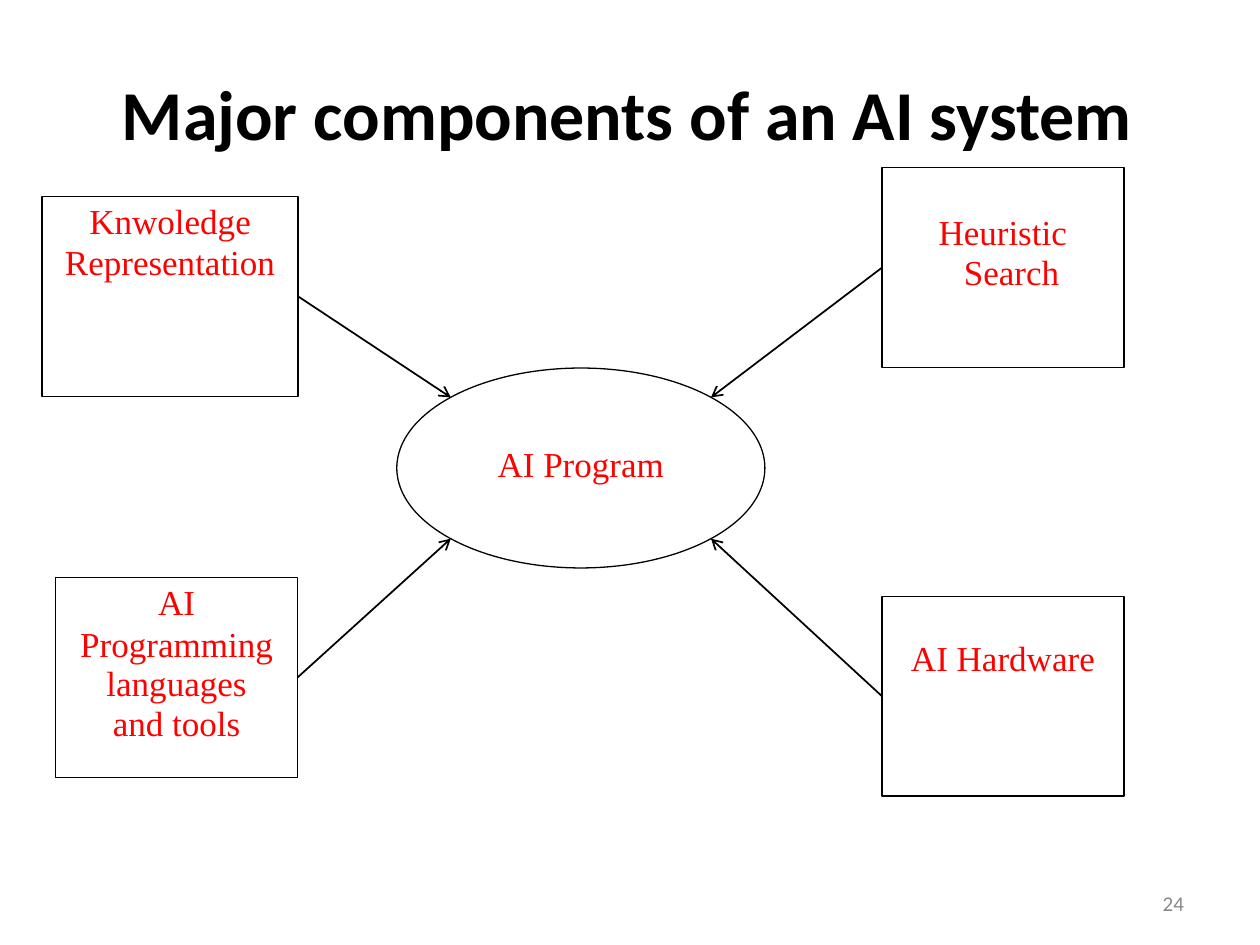
from dataclasses import dataclass
from math import sqrt

from lxml.etree import SubElement
from pptx import Presentation
from pptx.dml.color import RGBColor
from pptx.enum.shapes import MSO_CONNECTOR, MSO_SHAPE
from pptx.enum.text import MSO_ANCHOR, PP_ALIGN
from pptx.oxml.ns import qn
from pptx.util import Cm, Pt


@dataclass(frozen=True)
class Theme:
    ink: RGBColor = RGBColor(0, 0, 0)
    label: RGBColor = RGBColor(255, 0, 0)
    muted: RGBColor = RGBColor(0x88, 0x88, 0x88)
    heading_font: str = "Calibri"
    label_font: str = "Times New Roman"
    title_size: Pt = Pt(40)
    label_size: Pt = Pt(20)
    number_size: Pt = Pt(12)
    outline: Pt = Pt(0.75)
    arrow: Pt = Pt(1)


THEME = Theme()
BOX_HEIGHT = 4.03
ELLIPSE = (8, 7.42, 7.42, BOX_HEIGHT)


def set_insets(frame, left=0, top=0, right=0, bottom=0):
    frame.margin_left, frame.margin_top = Cm(left), Cm(top)
    frame.margin_right, frame.margin_bottom = Cm(right), Cm(bottom)


def style_paragraph(paragraph, font, size, color, bold=False):
    paragraph.font.name = font
    paragraph.font.size = size
    paragraph.font.bold = bold
    paragraph.font.color.rgb = color


def add_text(slide, bounds, text, size, color, bold=False):
    box = slide.shapes.add_textbox(*map(Cm, bounds))
    frame = box.text_frame
    frame.word_wrap = True
    set_insets(frame, top=0.05)
    paragraph = frame.paragraphs[0]
    paragraph.text = text
    style_paragraph(paragraph, THEME.heading_font, size, color, bold)


def add_node(slide, preset, bounds, lines, spacing=None, anchor=MSO_ANCHOR.TOP, **insets):
    shape = slide.shapes.add_shape(preset, *map(Cm, bounds))
    shape.shadow.inherit = False
    shape.fill.background()
    shape.line.color.rgb = THEME.ink
    shape.line.width = THEME.outline
    frame = shape.text_frame
    frame.word_wrap = True
    frame.vertical_anchor = anchor
    set_insets(frame, **insets)
    for index, line in enumerate(lines):
        paragraph = frame.add_paragraph() if index else frame.paragraphs[0]
        paragraph.text = line
        paragraph.alignment = PP_ALIGN.CENTER
        paragraph.line_spacing = spacing
        style_paragraph(paragraph, THEME.label_font, THEME.label_size, THEME.label)
    return shape


def hang_first_line(paragraph, margin, indent):
    paragraph.alignment = PP_ALIGN.LEFT
    properties = paragraph.font._element.getparent()
    properties.set("marL", str(Cm(margin)))
    properties.set("indent", str(Cm(indent)))


def add_arrow(slide, box, side, horizontal, vertical):
    left, top, width, height = ELLIPSE
    end_x = left + width / 2 * (1 + horizontal / sqrt(2))
    end_y = top + height / 2 * (1 + vertical / sqrt(2))
    arrow = slide.shapes.add_connector(
        MSO_CONNECTOR.STRAIGHT, box.left, box.top, Cm(end_x), Cm(end_y)
    )
    arrow.begin_connect(box, side)
    arrow.line.color.rgb = THEME.ink
    arrow.line.width = THEME.arrow
    SubElement(arrow.line._get_or_add_ln(), qn("a:tailEnd"), type="arrow")
    SubElement(arrow._element.spPr, qn("a:effectLst"))


def main():
    presentation = Presentation()
    presentation.slide_width, presentation.slide_height = Cm(25.4), Cm(19.05)
    slide = presentation.slides.add_slide(presentation.slide_layouts[6])

    add_text(slide, (2.46, 1.37, 20.6, 1.75), "Major components of an AI system",
             THEME.title_size, THEME.ink, bold=True)
    add_node(slide, MSO_SHAPE.OVAL, ELLIPSE, ["AI Program"],
             anchor=MSO_ANCHOR.MIDDLE, bottom=0.2)

    rectangle = MSO_SHAPE.RECTANGLE
    knowledge = add_node(slide, rectangle, (0.85, 3.96, 5.16, BOX_HEIGHT),
                         ["Knwoledge", "Representation"], Pt(23.4), top=0.08)
    search = add_node(slide, rectangle, (17.78, 3.38, 4.88, BOX_HEIGHT),
                      ["Heuristic Search"], Pt(22.8), top=0.91)
    hang_first_line(search.text_frame.paragraphs[0], 1.65, -0.51)
    languages = add_node(slide, rectangle, (1.12, 11.64, 4.88, BOX_HEIGHT),
                         ["AI", "Programming languages and tools"], Pt(22.8),
                         left=0.46, top=0.1, right=0.46)
    languages.text_frame.paragraphs[1].space_before = Pt(1.1)
    hardware = add_node(slide, rectangle, (17.78, 12.02, 4.88, BOX_HEIGHT),
                        ["AI Hardware"], top=0.82)

    for box, side, horizontal, vertical in (
        (knowledge, 3, -1, -1),
        (search, 1, 1, -1),
        (languages, 3, -1, 1),
        (hardware, 1, 1, 1),
    ):
        add_arrow(slide, box, side, horizontal, vertical)

    add_text(slide, (23.44, 17.9, 0.8, 0.5), "24", THEME.number_size, THEME.muted)
    presentation.save("out.pptx")


if __name__ == "__main__":
    main()
